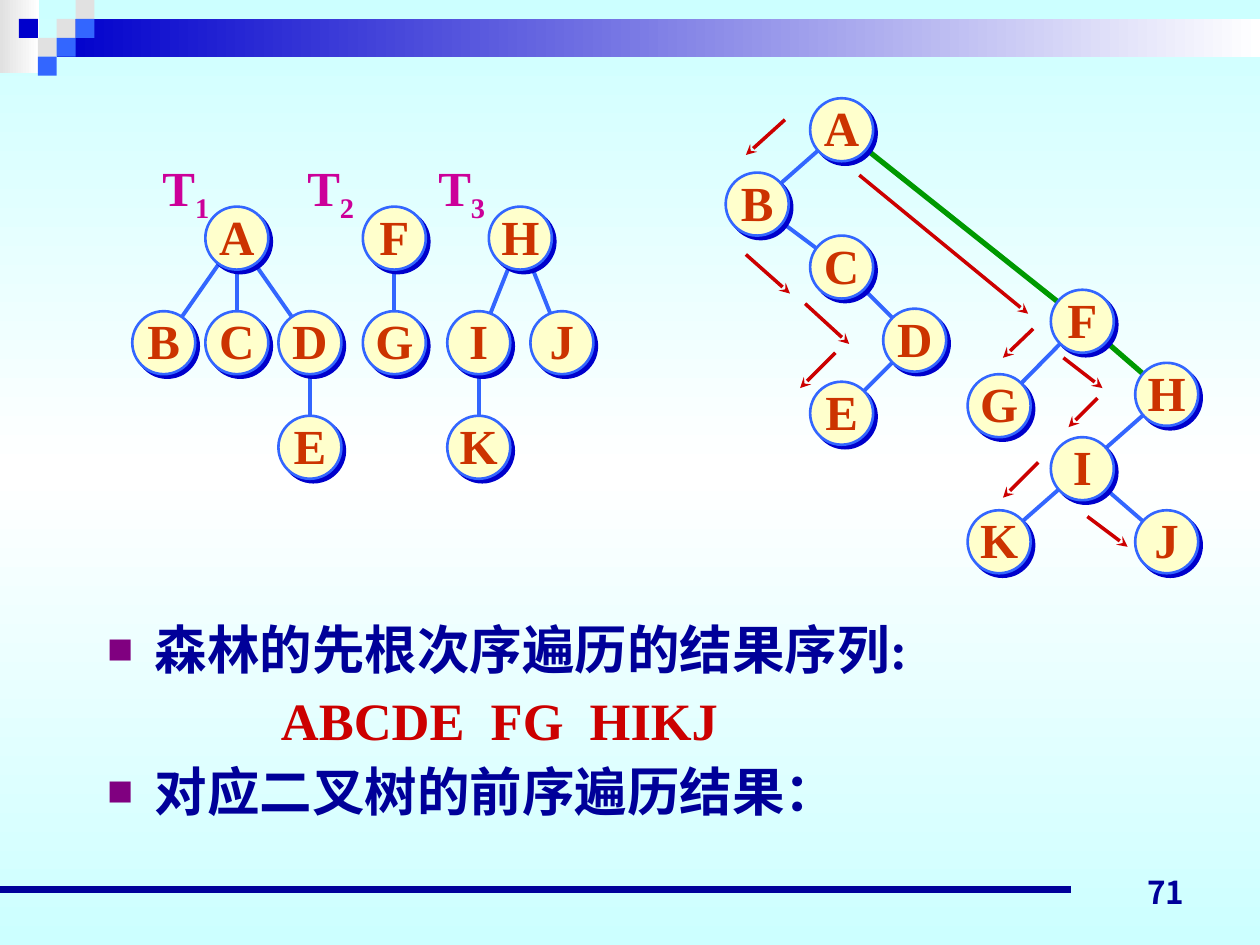
"""Build the slide on preorder traversal of a forest and its binary tree."""
import copy
import math

import pptx
import pptx.dml.color
import pptx.enum.shapes
import pptx.enum.text
import pptx.oxml
import pptx.oxml.ns
import pptx.util

Inches, Pt, qn = pptx.util.Inches, pptx.util.Pt, pptx.oxml.ns.qn
SHAPE = pptx.enum.shapes.MSO_SHAPE
ALIGN, ANCHOR = pptx.enum.text.PP_ALIGN, pptx.enum.text.MSO_ANCHOR

COLORS = {
    "cyan": "CCFFFF", "white": "FFFFFF", "grey": "E1E1E1", "navy": "000099",
    "blue": "0000CC", "sky": "3366FF", "cream": "FFFFCC", "letter": "CC3300",
    "red": "CC0000", "green": "009900", "pink": "CC0099", "purple": "800080",
}
SERIF, SANS = "Times New Roman", "Noto Sans CJK JP"
DIAMETER, EDGE_GAP, SQUARE = 0.5, 0.17, 0.15

SQUARES = [(3, 1, "grey"), (4, 0, "grey"), (4, 1, "sky"), (2, 2, "grey"),
           (1, 1, "blue"), (3, 2, "sky"), (2, 3, "sky")]
ROWS = [1.89 + 0.83 * level for level in range(3)]
FOREST = {
    "nodes": {
        "A": (1.88, ROWS[0]), "F": (3.13, ROWS[0]), "H": (4.13, ROWS[0]),
        "B": (1.3, ROWS[1]), "C": (1.88, ROWS[1]), "D": (2.46, ROWS[1]),
        "G": (3.13, ROWS[1]), "I": (3.8, ROWS[1]), "J": (4.46, ROWS[1]),
        "E": (2.46, ROWS[2]), "K": (3.8, ROWS[2]),
    },
    "edges": ["AB", "AC", "AD", "DE", "FG", "HI", "HJ", "IK"],
    "root_edges": [],
}
BINARY = {
    "nodes": {
        "A": (6.68, 1.03), "B": (6.01, 1.62), "C": (6.68, 2.12),
        "D": (7.26, 2.7), "E": (6.68, 3.28), "F": (8.59, 2.55),
        "G": (7.93, 3.22), "H": (9.26, 3.13), "I": (8.59, 3.72),
        "K": (7.93, 4.3), "J": (9.26, 4.3),
    },
    "edges": ["AB", "BC", "CD", "DE", "FG", "HI", "IK", "IJ"],
    "root_edges": ["AF", "FH"],
}
VISITS = [
    ((6.23, 0.95), (5.92, 1.23)), ((5.92, 2.02), (6.27, 2.33)),
    ((6.39, 2.41), (6.74, 2.73)), ((6.63, 2.8), (6.35, 3.08)),
    ((6.82, 1.39), (8.16, 2.49)), ((8.2, 2.61), (7.96, 2.84)),
    ((8.44, 2.84), (8.75, 3.08)), ((8.71, 3.16), (8.48, 3.39)),
    ((8.24, 3.67), (7.96, 3.95)), ((8.63, 4.1), (8.95, 4.34)),
]
TREE_LABELS = [("1", 1.19), ("2", 2.34), ("3", 3.38)]
BODY = [("森林的先根次序遍历的结果序列:", "navy", True),
        ("ABCDE  FG  HIKJ", "red", False),
        ("对应二叉树的前序遍历结果：", "navy", True)]


def rgb(name):
    return pptx.dml.color.RGBColor.from_string(COLORS[name])


def child(parent, tag, **attrs):
    el = parent.makeelement(qn(tag), attrs)
    parent.append(el)
    return el


def add_run(p, text, size, color, font=SERIF):
    r = p.add_run()
    r.text = text
    r.font.color.rgb = rgb(color)
    for key, value in {"size": Pt(size), "name": font, "bold": True}.items():
        setattr(r.font, key, value)
    child(r.font._element, "a:ea", typeface=SANS)
    return r


def set_gradient(fill, element, stops, angle):
    fill.gradient()
    fill.gradient_angle = angle
    gs_list = next(element.iter(qn("a:gsLst")))
    for _ in stops[2:]:
        gs_list.append(copy.deepcopy(gs_list[0]))
    for stop, (position, color) in zip(fill.gradient_stops, stops):
        stop.position = position
        stop.color.rgb = rgb(color)


def add_shape(s, kind, left, top, width, height, color=None):
    sp = s.shapes.add_shape(kind, *map(Inches, (left, top, width, height)))
    sp.line.fill.background()
    sp.shadow.inherit = False
    if color:
        sp.fill.solid()
        sp.fill.fore_color.rgb = rgb(color)
    return sp


def add_line(s, start, end, color, width, arrow=False):
    line = s.shapes.add_connector(pptx.enum.shapes.MSO_CONNECTOR.STRAIGHT,
                                  *map(Inches, (*start, *end)))
    line.line.color.rgb = rgb(color)
    line.line.width = Pt(width)
    if arrow:
        child(line.line._get_or_add_ln(), "a:tailEnd", type="stealth")
    child(line._element.spPr, "a:effectLst")


def add_edge(s, start, end, color, width):
    ratio = EDGE_GAP / math.dist(start, end)
    dx, dy = ((b - a) * ratio for a, b in zip(start, end))
    add_line(s, (start[0] + dx, start[1] + dy), (end[0] - dx, end[1] - dy), color, width)


def add_node(s, letter, center):
    left, top = (c - DIAMETER / 2 for c in center)
    sp = add_shape(s, SHAPE.OVAL, left, top, DIAMETER, DIAMETER, "cream")
    sp.line.color.rgb = rgb("sky")
    sp.line.width = Pt(1.5)
    shadow = child(sp._element.spPr.find(qn("a:effectLst")), "a:outerShdw",
                   dist=str(Pt(2.8)), dir="2700000", algn="ctr", rotWithShape="0")
    child(shadow, "a:srgbClr", val=COLORS["blue"])
    tf = sp.text_frame
    for key, value in {"margin_left": 0, "margin_right": 0, "margin_top": 0,
                       "margin_bottom": Inches(0.04), "word_wrap": False,
                       "vertical_anchor": ANCHOR.MIDDLE}.items():
        setattr(tf, key, value)
    tf.paragraphs[0].alignment = ALIGN.CENTER
    add_run(tf.paragraphs[0], letter, 28, "letter")


def add_tree(s, tree):
    nodes = tree["nodes"]
    for key, color, width in (("root_edges", "green", 3), ("edges", "sky", 2.25)):
        for a, b in tree[key]:
            add_edge(s, nodes[a], nodes[b], color, width)
    for letter, center in nodes.items():
        add_node(s, letter, center)


def add_text(s, left, top, width, height, anchor):
    tf = s.shapes.add_textbox(*map(Inches, (left, top, width, height))).text_frame
    tf.word_wrap = True
    tf.vertical_anchor = anchor
    return tf.paragraphs[0]


def add_frame(s):
    bands = [((0, 0, 0.31, 0.58), "grey"), ((0.45, 0.15, 9.55, 0.3), "blue")]
    for box, color in bands:
        sp = add_shape(s, SHAPE.RECTANGLE, *box)
        set_gradient(sp.fill, sp._element, [(0, color), (1, "white")], 0)
    for col, row, color in SQUARES:
        add_shape(s, SHAPE.RECTANGLE, col * SQUARE, row * SQUARE, SQUARE, SQUARE, color)
    add_line(s, (0, 7.06), (8.5, 7.06), "navy", 4.5)
    p = add_text(s, 7.17, 6.78, 2.33, 0.5, ANCHOR.BOTTOM)
    p.alignment = ALIGN.RIGHT
    add_run(p, "71", 18, "navy", SANS)


def fill_body(body):
    box = {"left": 0.75, "top": 4.85, "width": 9, "height": 2.01}
    for key, value in box.items():
        setattr(body, key, Inches(value))
    tf = body.text_frame
    tf.auto_size = pptx.enum.text.MSO_AUTO_SIZE.NONE
    for i, (text, color, bullet) in enumerate(BODY):
        p = tf.add_paragraph() if i else tf.paragraphs[0]
        p.space_before = Pt(4.5 if i else 0)
        ppr = p._element.get_or_add_pPr()
        ppr.set("marL", str(Inches(0.38 if bullet else 1.38)))
        ppr.set("indent", str(Inches(-0.38 if bullet else 0)))
        if bullet:
            child(child(ppr, "a:buClr"), "a:srgbClr", val=COLORS["purple"])
            child(ppr, "a:buSzPct", val="50000")
            child(ppr, "a:buFont", typeface=SANS)
            child(ppr, "a:buChar", char="■")
        else:
            child(ppr, "a:buNone")
        add_run(p, text, 30, color)


def main():
    prs = pptx.Presentation()
    prs.slide_width, prs.slide_height = Inches(10), Inches(7.5)
    s = prs.slides.add_slide(prs.slide_layouts[1])
    title = s.shapes.title._element
    title.getparent().remove(title)
    set_gradient(s.background.fill, s._element,
                 [(0, "cyan"), (0.5, "white"), (1, "cyan")], 270)
    add_frame(s)
    fill_body(s.placeholders[1])
    add_tree(s, BINARY)
    for start, end in VISITS:
        add_line(s, start, end, "red", 2, arrow=True)
    add_tree(s, FOREST)
    for number, left in TREE_LABELS:
        p = add_text(s, left, 1.23, 0.65, 0.57, ANCHOR.MIDDLE)
        add_run(p, "T", 28, "pink")
        add_run(p, number, 28, "pink").font._element.set("baseline", "-25000")
    prs.save("out.pptx")


if __name__ == "__main__":
    main()
